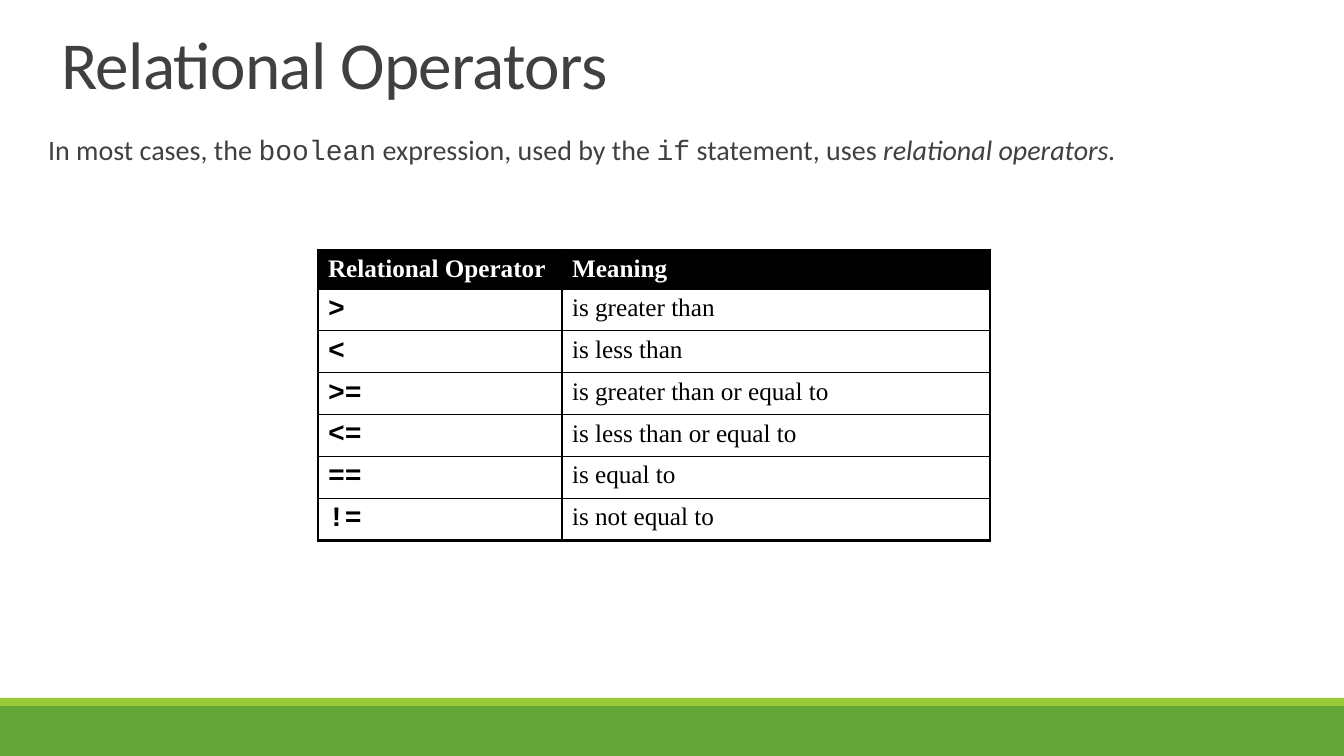
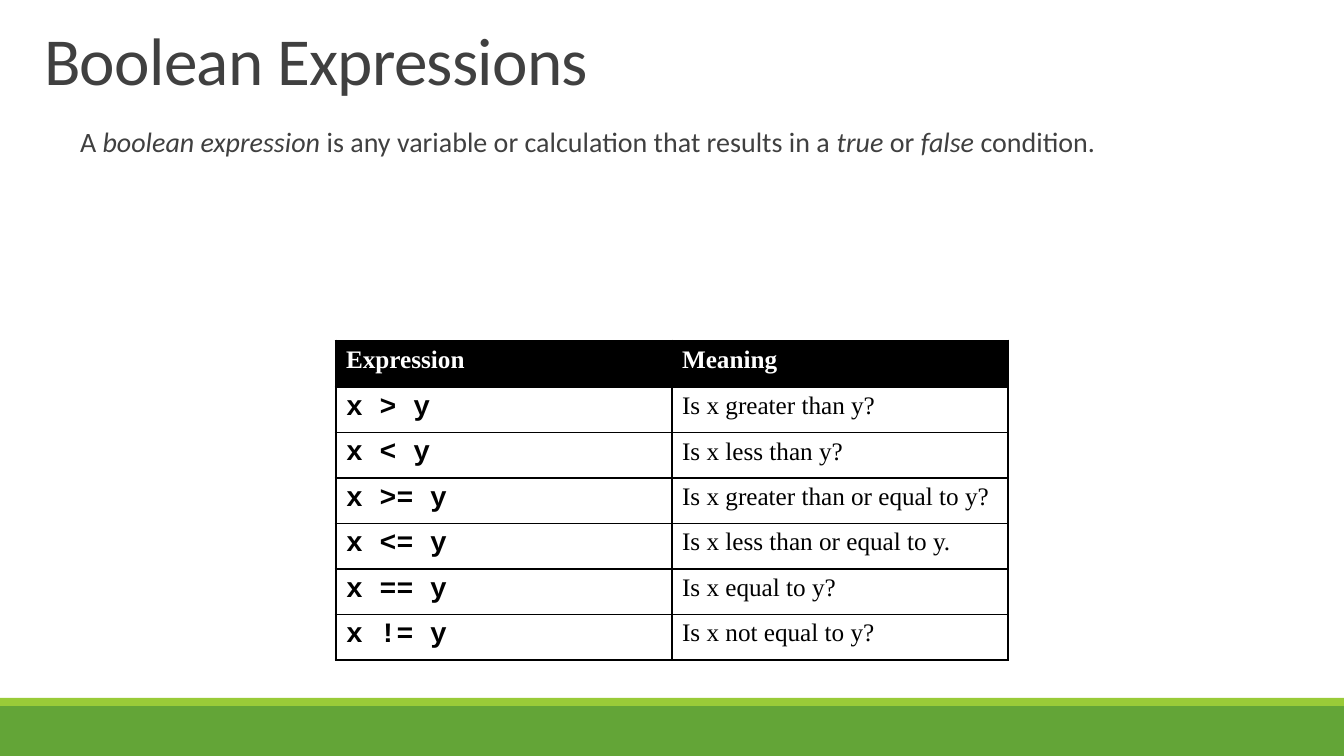
"""Build two slides on relational operators and boolean expressions."""
import dataclasses
import typing

import lxml.etree
import pptx
import pptx.dml.color
import pptx.enum.shapes
import pptx.enum.text
import pptx.oxml.ns
import pptx.presentation
import pptx.shapes.placeholder
import pptx.slide
import pptx.table
import pptx.text.text
import pptx.util

EMU_PER_PX = 914400 / 100.8
SLIDE_WIDTH, SLIDE_HEIGHT = 1344, 756
COLORS = {
    "green": "63A537",
    "lime": "99CB38",
    "text": "404040",
    "black": "000000",
    "white": "FFFFFF",
}
SANS, MONO, SERIF = "Calibri", "Courier New", "Times New Roman"
OUTER_LINE, INNER_LINE = 2.25, 1


class Box(typing.NamedTuple):
    """Position and size in px."""
    left: int
    top: int
    width: int
    height: int


class Band(typing.NamedTuple):
    """A full-width footer stripe."""
    top: int
    height: int
    color: str


class Phrase(typing.NamedTuple):
    """A stretch of uniformly formatted text."""
    text: str
    font: str = SANS
    italic: bool = False


@dataclasses.dataclass(frozen=True)
class MeaningTable:
    """A two-column table of code and its meaning."""
    box: Box
    code_width: int
    heading_height: int
    rows: tuple[tuple[str, str], ...]


@dataclasses.dataclass(frozen=True)
class Topic:
    """Everything that one slide says."""
    title: str
    title_box: Box
    statement: tuple[Phrase, ...]
    statement_box: Box
    meanings: MeaningTable


BANDS = (Band(706, 50, "green"), Band(698, 8, "lime"))

TOPICS = (
    Topic(
        "Relational Operators",
        Box(51, -38, 1159, 146),
        (
            Phrase("In most cases, the "),
            Phrase("boolean", MONO),
            Phrase(" expression, used by the "),
            Phrase("if", MONO),
            Phrase(" statement, uses "),
            Phrase("relational operators.", italic=True),
        ),
        Box(38, 131, 1314, 73),
        MeaningTable(
            Box(318, 250, 672, 290), 244, 39,
            (
                ("Relational Operator", "Meaning"),
                (">", "is greater than"),
                ("<", "is less than"),
                (">=", "is greater than or equal to"),
                ("<=", "is less than or equal to"),
                ("==", "is equal to"),
                ("!=", "is not equal to"),
            ),
        ),
    ),
    Topic(
        "Boolean Expressions",
        Box(34, -42, 1159, 146),
        (
            Phrase("A "),
            Phrase("boolean expression", italic=True),
            Phrase(" is any variable or calculation that results in a "),
            Phrase("true", italic=True),
            Phrase(" or "),
            Phrase("false", italic=True),
            Phrase(" condition."),
        ),
        Box(70, 123, 1298, 170),
        MeaningTable(
            Box(336, 341, 672, 319), 336, 46,
            (
                ("Expression", "Meaning"),
                ("x > y", "Is x greater than y?"),
                ("x < y", "Is x less than y?"),
                ("x >= y", "Is x greater than or equal to y?"),
                ("x <= y", "Is x less than or equal to y."),
                ("x == y", "Is x equal to y?"),
                ("x != y", "Is x not equal to y?"),
            ),
        ),
    ),
)


def px(length: float) -> pptx.util.Emu:
    """Turn px into EMU."""
    return pptx.util.Emu(round(length * EMU_PER_PX))


def rgb(color: str) -> pptx.dml.color.RGBColor:
    """Look up a colour by its name."""
    return pptx.dml.color.RGBColor.from_string(COLORS[color])


def add_child(parent: typing.Any, tag: str, **attributes: str) -> typing.Any:
    """Append a DrawingML element."""
    return lxml.etree.SubElement(parent, pptx.oxml.ns.qn(tag), attributes)


def style_run(run: typing.Any, font: str, size: float, color: str,
              bold: bool = False, italic: bool = False) -> None:
    """Format one run."""
    run.font.name = font
    run.font.size = pptx.util.Pt(size)
    run.font.color.rgb = rgb(color)
    run.font.bold = bold
    run.font.italic = italic


def place(placeholder: typing.Any, box: Box) -> None:
    """Move a placeholder and fix its text size."""
    placeholder.left, placeholder.top, placeholder.width, placeholder.height = map(px, box)
    placeholder.text_frame.word_wrap = True
    placeholder.text_frame.auto_size = pptx.enum.text.MSO_AUTO_SIZE.NONE


def add_bands(slide: pptx.slide.Slide) -> None:
    """Draw the footer stripes and move them to the slide's layout."""
    layout_tree = slide.slide_layout.shapes.element
    for index, band in enumerate(BANDS):
        stripe = slide.shapes.add_shape(
            pptx.enum.shapes.MSO_SHAPE.RECTANGLE,
            0, px(band.top), px(SLIDE_WIDTH), px(band.height))
        stripe.shadow.inherit = False
        stripe.fill.solid()
        stripe.fill.fore_color.rgb = rgb(band.color)
        stripe.line.fill.background()
        stripe.element.nvSpPr.cNvPr.set("id", str(100 + index))
        layout_tree.insert(2 + index, stripe.element)


def write_title(slide: pptx.slide.Slide, topic: Topic) -> None:
    """Fill the title placeholder."""
    title = slide.shapes.title
    place(title, topic.title_box)
    title.text_frame.text = topic.title
    title.text_frame.vertical_anchor = pptx.enum.text.MSO_ANCHOR.BOTTOM
    heading = title.text_frame.paragraphs[0]
    heading.alignment = pptx.enum.text.PP_ALIGN.LEFT
    heading.line_spacing = 0.85
    style_run(heading.runs[0], SANS, 48, "text")
    heading.runs[0].font._element.set("spc", "-50")


def write_statement(slide: pptx.slide.Slide, topic: Topic) -> None:
    """Fill the body placeholder with the mixed-format sentence."""
    body = slide.placeholders[1]
    place(body, topic.statement_box)
    body.text_frame.margin_left = body.text_frame.margin_right = 0
    sentence = body.text_frame.paragraphs[0]
    sentence.line_spacing = 0.9
    sentence.space_before = pptx.util.Pt(12)
    sentence.space_after = pptx.util.Pt(2)
    properties = sentence._p.get_or_add_pPr()
    properties.set("marL", str(px(10)))
    properties.set("indent", str(px(-10)))
    add_child(add_child(properties, "a:buClr"), "a:srgbClr", val=COLORS["lime"])
    add_child(properties, "a:buChar", char=" ")
    for phrase in topic.statement:
        run = sentence.add_run()
        run.text = phrase.text
        style_run(run, phrase.font, 20, "text", italic=phrase.italic)


def draw_borders(cell: pptx.table._Cell, outer_sides: dict[str, bool]) -> None:
    """Rule all four sides, with heavier lines on the outside."""
    properties = cell._tc.get_or_add_tcPr()
    for side, is_outer in outer_sides.items():
        width = pptx.util.Pt(OUTER_LINE if is_outer else INNER_LINE)
        line = add_child(properties, f"a:ln{side}", w=str(width))
        add_child(add_child(line, "a:solidFill"), "a:srgbClr", val=COLORS["black"])


def add_meanings(slide: pptx.slide.Slide, meanings: MeaningTable) -> None:
    """Draw the table of code and meaning."""
    row_count = len(meanings.rows)
    table = slide.shapes.add_table(row_count, 2, *map(px, meanings.box)).table
    table.first_row = table.horz_banding = False
    table.columns[0].width = px(meanings.code_width)
    table.columns[1].width = px(meanings.box.width - meanings.code_width)
    row_height = (meanings.box.height - meanings.heading_height) / (row_count - 1)
    for row_index, texts in enumerate(meanings.rows):
        is_heading = row_index == 0
        table.rows[row_index].height = px(meanings.heading_height if is_heading else row_height)
        for column_index, text in enumerate(texts):
            cell = table.cell(row_index, column_index)
            is_code = column_index == 0 and not is_heading
            cell.text_frame.text = text
            style_run(cell.text_frame.paragraphs[0].runs[0],
                      MONO if is_code else SERIF,
                      20 if is_code else 18,
                      "white" if is_heading else "black",
                      bold=is_code or is_heading)
            draw_borders(cell, {
                "L": column_index == 0,
                "R": column_index == 1,
                "T": is_heading,
                "B": row_index == row_count - 1,
            })
            if is_heading:
                cell.fill.solid()
                cell.fill.fore_color.rgb = rgb("black")
            else:
                cell.fill.background()


def main() -> None:
    """Build and save the presentation."""
    deck = pptx.Presentation()
    deck.slide_width, deck.slide_height = px(SLIDE_WIDTH), px(SLIDE_HEIGHT)
    layout = deck.slide_layouts[1]
    for index, topic in enumerate(TOPICS):
        slide = deck.slides.add_slide(layout)
        if index == 0:
            add_bands(slide)
        write_title(slide, topic)
        write_statement(slide, topic)
        add_meanings(slide, topic.meanings)
    deck.save("out.pptx")


if __name__ == "__main__":
    main()
